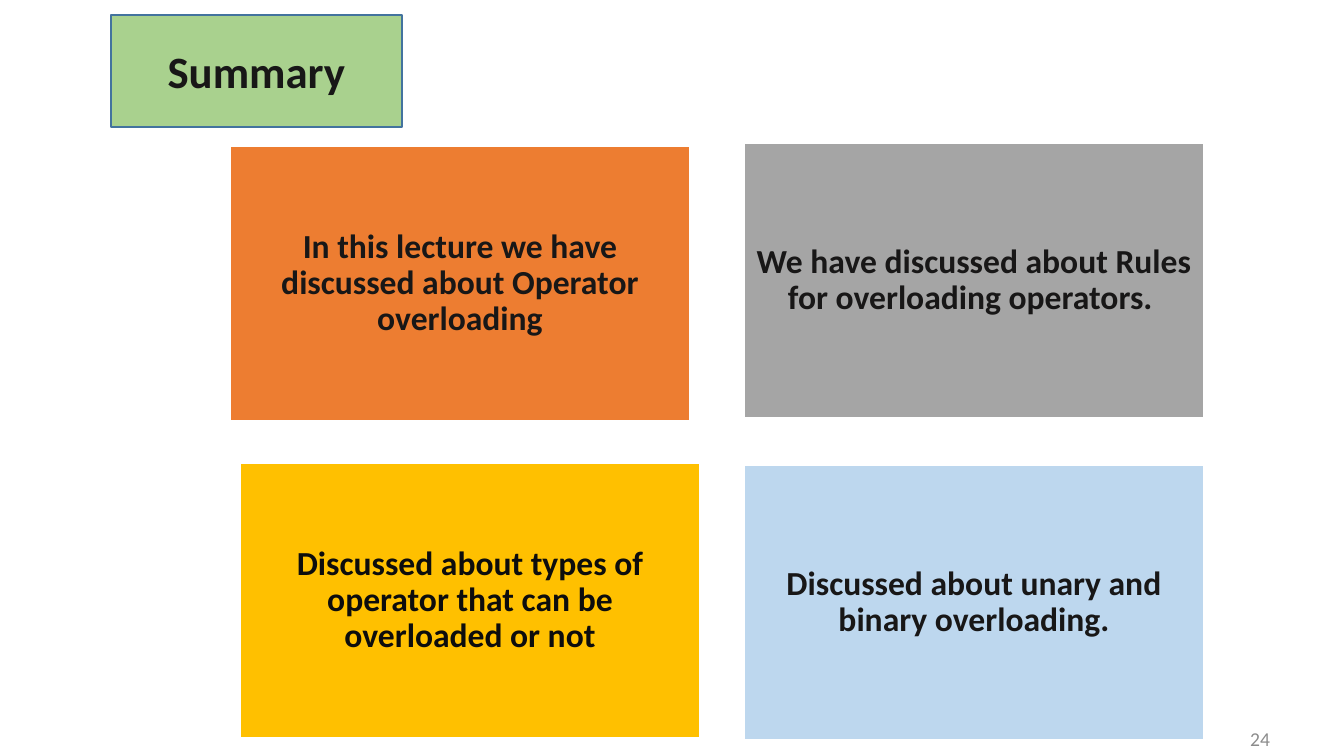
from lxml import etree
from pptx import Presentation
from pptx.dml.color import RGBColor
from pptx.enum.shapes import MSO_SHAPE as SHAPE
from pptx.enum.text import MSO_ANCHOR as ANCHOR, MSO_AUTO_SIZE as AUTO, PP_ALIGN as ALIGN
from pptx.oxml.ns import qn
from pptx.util import Pt

SLIDE = (1344, 756)
TITLE = ("Summary", (111, 15, 291, 112))
NUMBER = ("24", (1054, 736, 226, 5))
CARD_SIZE = (460, 275)
INK = "181717"
CARDS = [  # text, left, top, fill, text colour
    ("In this lecture we have discussed about Operator overloading", 230, 146, "ED7D31", INK),
    ("We have discussed about Rules for overloading operators. ", 744, 143, "A5A5A5", INK),
    ("Discussed about types of operator that can be overloaded or not", 240, 463, "FFC000", "0D0D0D"),
    ("Discussed about unary and binary overloading.", 744, 465, "BDD7EE", INK),
]


def px(n):
    return round(n * 914400 / 100.8)


def rgb(color):
    return RGBColor.from_string(color)


def paint(sp, fill, line):
    sp.fill.solid()
    sp.fill.fore_color.rgb = rgb(fill)
    sp.line.color.rgb = rgb(line)
    sp.line.width = Pt(1)
    sp.shadow.inherit = False


def write(sp, text, size, color=INK, bold=True, align=ALIGN.CENTER, spacing=1.0, inset=(10, 5)):
    tf = sp.text_frame
    tf.word_wrap = True
    tf.auto_size = AUTO.NONE
    tf.vertical_anchor = ANCHOR.MIDDLE
    tf.margin_left = tf.margin_right = px(inset[0])
    tf.margin_top = tf.margin_bottom = px(inset[1])
    p = tf.paragraphs[0]
    p.alignment, p.line_spacing = align, spacing
    r = p.add_run()
    r.text = text
    r.font.name, r.font.size, r.font.bold = "Calibri", Pt(size), bold
    r.font.color.rgb = rgb(color)


prs = Presentation()
prs.slide_width, prs.slide_height = map(px, SLIDE)
s = prs.slides.add_slide(prs.slide_layouts[5])

text, box = TITLE
title = s.shapes.title
title.left, title.top, title.width, title.height = map(px, box)
geometry = etree.SubElement(title.element.spPr, qn("a:prstGeom"), prst="flowChartMagneticTape")
etree.SubElement(geometry, qn("a:avLst"))
paint(title, "A9D18E", "43739E")
write(title, text, 32)

text, box = NUMBER
write(s.shapes.add_textbox(*map(px, box)), text, 14, "8C8C8C", bold=False, align=ALIGN.RIGHT)

for text, left, top, fill, color in CARDS:
    card = s.shapes.add_shape(SHAPE.RECTANGLE, *map(px, (left, top, *CARD_SIZE)))
    paint(card, fill, "FFFFFF")
    write(card, text, 24, color, spacing=0.9, inset=(10, 10))

prs.save("out.pptx")
